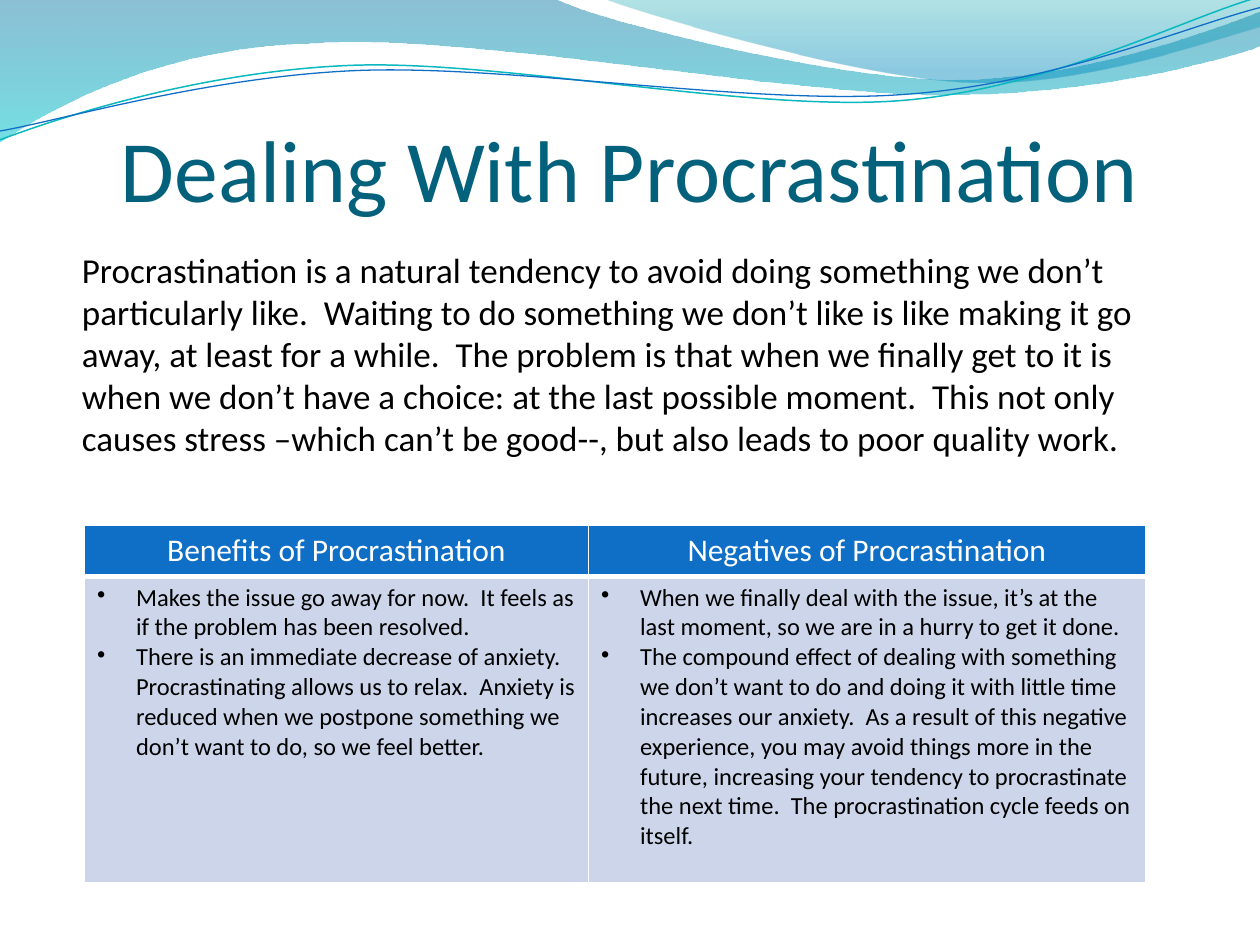
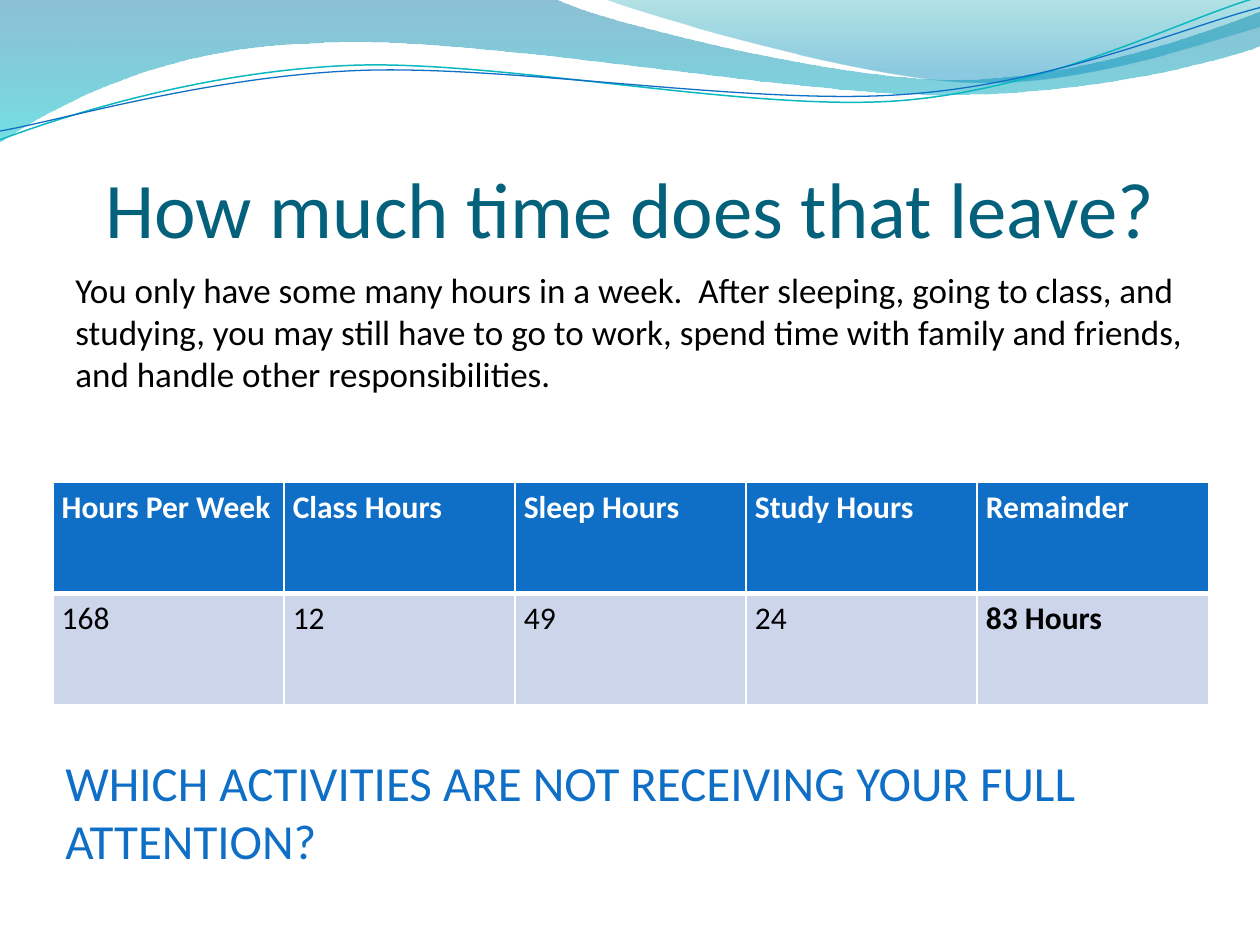
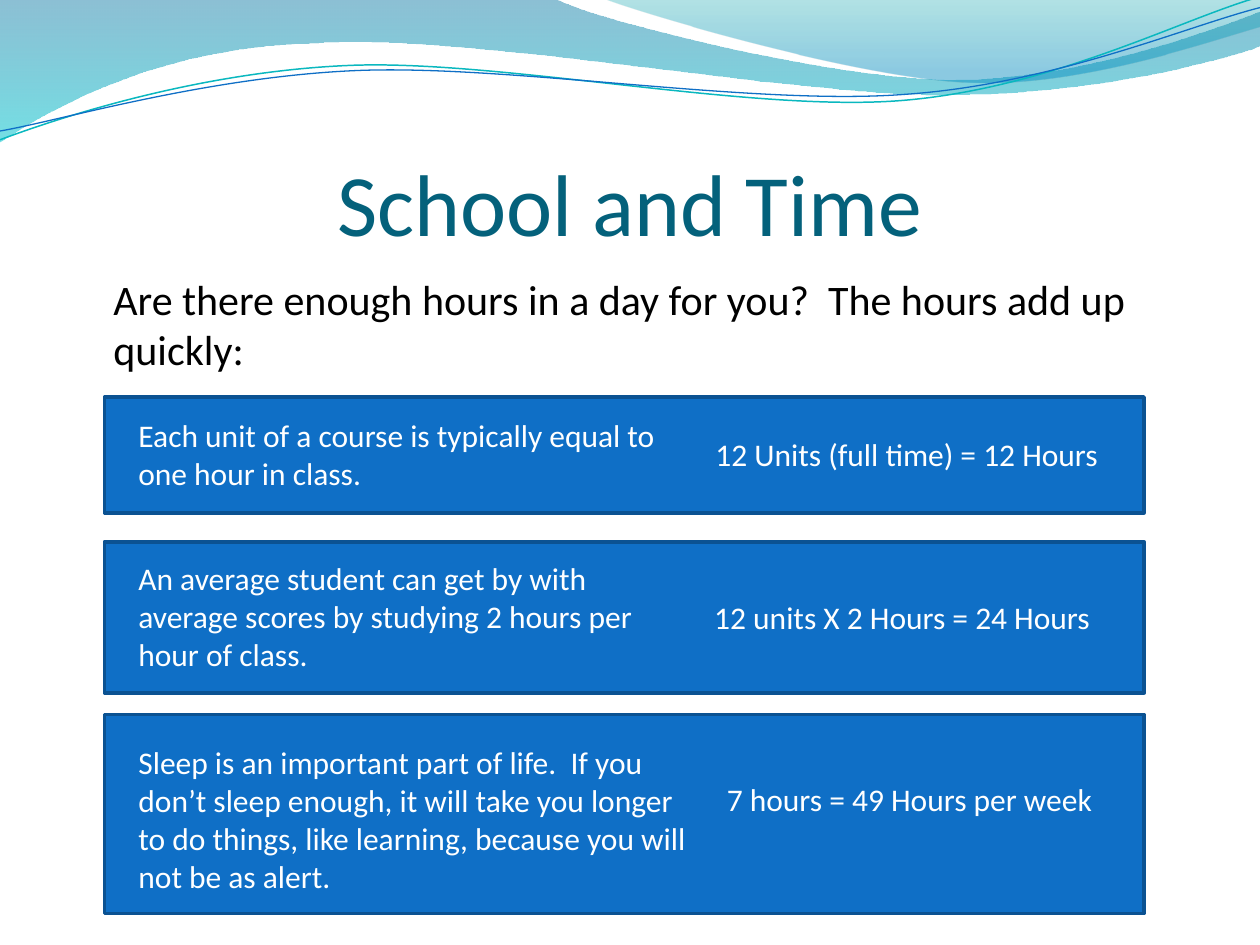
"""Build three study-skills slides with a shared wave band."""
import math
from dataclasses import dataclass
from typing import Any, Optional

import lxml.etree
import pptx
import pptx.dml.color
import pptx.enum.shapes
import pptx.enum.text
import pptx.oxml.ns
import pptx.presentation
import pptx.shapes.base
import pptx.slide
import pptx.table
import pptx.text.text
import pptx.util

Inches = pptx.util.Inches
Pt = pptx.util.Pt
qn = pptx.oxml.ns.qn

FONT = "Calibri"
BLUE, DARK_BLUE, TEAL = "0F6FC6", "0B5292", "0AB8BF"
TITLE, BLACK, WHITE, PALE = "04617B", "000000", "FFFFFF", "CCD5EA"
CENTER = pptx.enum.text.PP_ALIGN.CENTER
FIXED = pptx.enum.text.MSO_AUTO_SIZE.NONE
GROW = pptx.enum.text.MSO_AUTO_SIZE.SHAPE_TO_FIT_TEXT

Point = tuple[float, float]


@dataclass(frozen=True)
class Box:
    """Place and size in inches."""
    left: float
    top: float
    width: float
    height: float

    def emu(self) -> list[int]:
        """Return the four lengths for python-pptx calls."""
        return [Inches(v) for v in (self.left, self.top, self.width, self.height)]


@dataclass(frozen=True)
class Stop:
    """Gradient stop with its opacity in percent."""
    position: float
    color: str
    opacity: int


@dataclass(frozen=True)
class Wave:
    """Outline of straight (one point) and curved (three points) segments."""
    box: Box
    start: Point
    segments: tuple[tuple[Point, ...], ...]
    stops: tuple[Stop, ...] = ()
    color: str = ""
    weight: float = 0
    rotation: float = 0


@dataclass(frozen=True)
class TextStyle:
    """Look of the text in a box or cell."""
    size: float
    color: str = BLACK
    bold: bool = False
    align: Optional[Any] = None
    line_spacing: Optional[float] = None
    space_after: Optional[float] = None
    indent: Optional[Point] = None
    bullet: str = ""


@dataclass(frozen=True)
class TimeFact:
    """Blue bar with a statement and the hours it costs."""
    bar_top: float
    bar_height: float
    statement: str
    statement_box: Box
    hours: str
    hours_box: Box


WAVES = (
    Wave(Box(-0.01, -0.01, 10.02, 1.14), (0, 0), (
        ((4.4, -0.01),),
        ((4.76, 0.17), (6.64, 0.63), (7.58, 0.63)),
        ((8.53, 0.63), (9.58, 0.26), (10, 0.09)),
        ((10.01, 0.36),),
        ((9.83, 0.44), (8.7, 0.76), (7.46, 0.75)),
        ((6.22, 0.75), (3.82, 0.28), (2.57, 0.34)),
        ((1.29, 0.36), (0.46, 0.83), (-0.01, 1.13)),
        ((0, 0),),
    ), stops=(Stop(0, "0074A1", 45), Stop(1, "00C6CF", 55))),
    Wave(Box(4.79, -0.01, 5.21, 0.7), (4.79, -0.01), (
        ((5.09, 0.11), (6.82, 0.62), (7.69, 0.65)),
        ((8.56, 0.69), (9.61, 0.32), (10, 0.21)),
        ((10, 0),),
        ((4.79, -0.01),),
    ), stops=(Stop(0, "00A1A9", 30), Stop(0.8, "008BBF", 45))),
    Wave(Box(-0.02, 0.22, 10.02, 0.71), (0, 1.11), (
        ((0.48, 0.93), (1.58, 0.57), (2.77, 0.52)),
        ((3.95, 0.47), (5.93, 0.89), (7.13, 0.8)),
        ((8.33, 0.71), (9.38, 0.15), (9.98, -0.02)),
    ), color=TEAL, weight=0.85, rotation=-2.7),
    Wave(Box(-0.02, 0.3, 10.03, 0.58), (0, 1.04), (
        ((0.47, 0.96), (1.64, 0.61), (2.83, 0.56)),
        ((4.03, 0.51), (5.97, 0.84), (7.17, 0.75)),
        ((8.36, 0.67), (9.41, 0.21), (10, 0.06)),
    ), color=BLUE, weight=0.75, rotation=-2.7),
)

BENEFITS = (
    "Makes the issue go away for now.  It feels as if the problem has been resolved.",
    "There is an immediate decrease of anxiety.  Procrastinating allows us to relax.  "
    "Anxiety is reduced when we postpone something we don’t want to do, so we feel better.",
)
NEGATIVES = (
    "When we finally deal with the issue, it’s at the last moment, "
    "so we are in a hurry to get it done.",
    "The compound effect of dealing with something we don’t want to do and doing it with "
    "little time increases our anxiety.  As a result of this negative experience, you may "
    "avoid things more in the future, increasing your tendency to procrastinate the next "
    "time.  The procrastination cycle feeds on itself.",
)
WEEK = (("Hours Per Week", "168"), ("Class Hours", "12"), ("Sleep Hours", "49"),
        ("Study Hours", "24"), ("Remainder", "83 Hours"))
TIME_FACTS = (
    TimeFact(3.15, 0.92, "Each unit of a course is typically equal to one hour in class.",
             Box(1, 3.25, 4.57, 0.71), "12 Units (full time) = 12 Hours",
             Box(5.58, 3.4, 3.25, 0.4)),
    TimeFact(4.3, 1.2, "An average student can get by with average scores by studying "
             "2 hours per hour of class.", Box(1, 4.39, 4.57, 1.01),
             "12 units X 2 Hours = 24 Hours", Box(5.57, 4.7, 3.25, 0.4)),
    TimeFact(5.67, 1.58, "Sleep is an important part of life.  If you don’t sleep enough, it "
             "will take you longer to do things, like learning, because you will not be as "
             "alert.", Box(1, 5.85, 4.58, 1.31),
             "7 hours = 49 Hours per week", Box(5.67, 6.14, 3.17, 0.4)),
)


def rgb(color: str) -> pptx.dml.color.RGBColor:
    """Turn a hex string into a colour."""
    return pptx.dml.color.RGBColor.from_string(color)


def assign(target: Any, values: dict[str, Any]) -> None:
    """Set the attributes that have a value."""
    for name, value in values.items():
        if value is not None:
            setattr(target, name, value)


def write(frame: pptx.text.text.TextFrame, texts: tuple[str, ...], style: TextStyle) -> None:
    """Write one styled paragraph for each text."""
    for index, text in enumerate(texts):
        para = frame.add_paragraph() if index else frame.paragraphs[0]
        assign(para, {
            "alignment": style.align,
            "line_spacing": style.line_spacing,
            "space_before": Pt(0),
            "space_after": None if style.space_after is None else Pt(style.space_after),
        })
        if style.indent:
            props = para._p.get_or_add_pPr()
            left, first = style.indent
            props.set("marL", str(Inches(left)))
            props.set("indent", str(Inches(first)))
            if style.bullet:
                lxml.etree.SubElement(props, qn("a:buChar")).set("char", style.bullet)
            else:
                lxml.etree.SubElement(props, qn("a:buNone"))
        span = para.add_run()
        span.text = text
        assign(span.font, {"name": FONT, "size": Pt(style.size), "bold": style.bold})
        span.font.color.rgb = rgb(style.color)


def place(shape: pptx.shapes.base.BaseShape, box: Box) -> None:
    """Move a shape to a box."""
    assign(shape, dict(zip(("left", "top", "width", "height"), box.emu())))


def local_point(wave: Wave, point: Point) -> tuple[int, int]:
    """Turn a slide point into a point within the unrotated wave box."""
    box = wave.box
    angle = math.radians(-wave.rotation)
    across = point[0] - box.left - box.width / 2
    down = point[1] - box.top - box.height / 2
    x = across * math.cos(angle) - down * math.sin(angle) + box.width / 2
    y = across * math.sin(angle) + down * math.cos(angle) + box.height / 2
    return Inches(x), Inches(y)


def curve_outline(shape: pptx.shapes.base.BaseShape, wave: Wave) -> None:
    """Write the wave's segments, curves included, as the outline of its box."""
    place(shape, wave.box)
    shape.rotation = wave.rotation
    outline = next(shape.element.iter(qn("a:path")))
    for child in list(outline):
        outline.remove(child)
    outline.set("w", str(Inches(wave.box.width)))
    outline.set("h", str(Inches(wave.box.height)))
    tags = {1: "a:lnTo", 3: "a:cubicBezTo"}
    steps = [("a:moveTo", (wave.start,))]
    steps += [(tags[len(segment)], segment) for segment in wave.segments]
    for tag, points in steps:
        step = lxml.etree.SubElement(outline, qn(tag))
        for point in points:
            x, y = local_point(wave, point)
            lxml.etree.SubElement(step, qn("a:pt"), x=str(x), y=str(y))
    if wave.stops:
        lxml.etree.SubElement(outline, qn("a:close"))


def draw_wave(page: pptx.slide.Slide, wave: Wave) -> pptx.shapes.base.BaseShape:
    """Draw a filled band or an open line."""
    builder = page.shapes.build_freeform(*(Inches(v) for v in wave.start))
    ends = [segment[-1] for segment in wave.segments]
    builder.add_line_segments([(Inches(x), Inches(y)) for x, y in ends], close=False)
    shape = builder.convert_to_shape()
    curve_outline(shape, wave)
    shape.shadow.inherit = False
    if not wave.stops:
        shape.fill.background()
        shape.line.color.rgb = rgb(wave.color)
        shape.line.width = Pt(wave.weight)
        return shape
    shape.line.fill.background()
    shape.fill.gradient()
    shape.fill.gradient_angle = 270
    for target, stop in zip(shape.fill.gradient_stops, wave.stops):
        target.color.rgb = rgb(stop.color)
        target.position = stop.position
    for node, stop in zip(shape.element.iter(qn("a:srgbClr")), wave.stops):
        lxml.etree.SubElement(node, qn("a:alpha")).set("val", str(stop.opacity * 1000))
    return shape


def add_master_waves(deck: pptx.presentation.Presentation, page: pptx.slide.Slide) -> None:
    """Draw the waves and move them behind the master's placeholders."""
    tree = deck.slide_master.element.cSld.spTree
    for index, wave in enumerate(WAVES):
        element = draw_wave(page, wave).element
        element.nvSpPr.cNvPr.id = 100 + index
        tree.insert(2 + index, element)


def add_page(deck: pptx.presentation.Presentation, layout: int, title: str, size: float,
             height: float = 1.25) -> pptx.slide.Slide:
    """Add a slide with its title."""
    page = deck.slides.add_slide(deck.slide_layouts[layout])
    shape = page.shapes.title
    place(shape, Box(0.5, 0.77, 9, height))
    assign(shape.text_frame, {
        "vertical_anchor": pptx.enum.text.MSO_ANCHOR.BOTTOM, "auto_size": FIXED,
        "margin_left": 0, "margin_right": 0, "margin_top": Inches(0.05), "margin_bottom": 0,
    })
    write(shape.text_frame, (title,), TextStyle(size, TITLE, align=CENTER))
    return page


def fill_body(page: pptx.slide.Slide, box: Box, text: str, size: float) -> None:
    """Fill the body placeholder with an unbulleted paragraph."""
    body = page.placeholders[1]
    place(body, box)
    body.text_frame.auto_size = FIXED
    write(body.text_frame, (text,), TextStyle(size, indent=(0.3, 0)))


def add_text(page: pptx.slide.Slide, box: Box, text: str, style: TextStyle,
             auto_size: Any = GROW) -> None:
    """Add a wrapping text box."""
    frame = page.shapes.add_textbox(*box.emu()).text_frame
    assign(frame, {"word_wrap": True, "auto_size": auto_size})
    write(frame, (text,), style)


def add_grid(page: pptx.slide.Slide, box: Box, widths: list[float],
             heights: list[float]) -> pptx.table.Table:
    """Add a table with a blue header, pale rows and white borders."""
    table = page.shapes.add_table(len(heights), len(widths), *box.emu()).table
    for column, width in zip(table.columns, widths):
        column.width = Inches(width)
    for index, (row, height) in enumerate(zip(table.rows, heights)):
        row.height = Inches(height)
        for cell in row.cells:
            borders = {"a:lnL": 1, "a:lnR": 1,
                       "a:lnT": 3 if index == 1 else 1, "a:lnB": 1 if index else 3}
            props = cell._tc.get_or_add_tcPr()
            for tag, weight in borders.items():
                line = lxml.etree.SubElement(props, qn(tag), w=str(Pt(weight)))
                fill = lxml.etree.SubElement(line, qn("a:solidFill"))
                lxml.etree.SubElement(fill, qn("a:srgbClr"), val=WHITE)
            cell.fill.solid()
            cell.fill.fore_color.rgb = rgb(PALE if index else BLUE)
    return table


def build_procrastination(deck: pptx.presentation.Presentation) -> None:
    """Build the slide on benefits and negatives of procrastination."""
    page = add_page(deck, 1, "Dealing With Procrastination", 50, height=0.98)
    add_master_waves(deck, page)
    fill_body(page, Box(0.25, 1.92, 9.25, 2),
              "Procrastination is a natural tendency to avoid doing something we don’t "
              "particularly like.  Waiting to do something we don’t like is like making it go "
              "away, at least for a while.  The problem is that when we finally get to it is "
              "when we don’t have a choice: at the last possible moment.  This not only causes "
              "stress –which can’t be good--, but also leads to poor quality work.", 20)
    table = add_grid(page, Box(0.67, 4.17, 8.42, 2.83), [4, 4.42], [0.4, 2.43])
    sides = (("Benefits of Procrastination", BENEFITS),
             ("Negatives of Procrastination", NEGATIVES))
    for column, (heading, points) in enumerate(sides):
        write(table.cell(0, column).text_frame, (heading,),
              TextStyle(18, WHITE, align=CENTER))
        write(table.cell(1, column).text_frame, points,
              TextStyle(14, indent=(0.31, -0.31), bullet="•"))


def build_remaining_time(deck: pptx.presentation.Presentation) -> None:
    """Build the slide on the hours left in a week."""
    page = add_page(deck, 5, "How much time does that leave?", 45)
    table = add_grid(page, Box(0.42, 3.83, 9.17, 1.76), [9.17 / len(WEEK)] * len(WEEK),
                     [0.88] * 2)
    for column, texts in enumerate(WEEK):
        for row, text in enumerate(texts):
            cell = table.cell(row, column)
            assign(cell, {"margin_left": Inches(0.07), "margin_right": Inches(0.07),
                          "margin_top": 0, "margin_bottom": 0})
            bold = row == 0 or column == len(WEEK) - 1
            write(cell.text_frame, (text,),
                  TextStyle(18, BLACK if row else WHITE, bold, line_spacing=1.15,
                            space_after=10))
    add_text(page, Box(0.42, 5.92, 9.17, 1.04),
             "WHICH ACTIVITIES ARE NOT RECEIVING YOUR FULL ATTENTION?", TextStyle(28, BLUE))
    add_text(page, Box(0.5, 2.08, 9.17, 1.5),
             "You only have some many hours in a week.  After sleeping, going to class, and "
             "studying, you may still have to go to work, spend time with family and friends, "
             "and handle other responsibilities.", TextStyle(20), FIXED)


def build_school_time(deck: pptx.presentation.Presentation) -> None:
    """Build the slide on how school hours add up."""
    page = add_page(deck, 1, "School and Time", 50)
    fill_body(page, Box(0.5, 2.12, 9, 0.88),
              "Are there enough hours in a day for you?  The hours add up quickly:", 24)
    for fact in TIME_FACTS:
        bar = page.shapes.add_shape(pptx.enum.shapes.MSO_SHAPE.RECTANGLE,
                                    *Box(0.83, fact.bar_top, 8.25, fact.bar_height).emu())
        bar.shadow.inherit = False
        bar.fill.solid()
        bar.fill.fore_color.rgb = rgb(BLUE)
        bar.line.color.rgb = rgb(DARK_BLUE)
        bar.line.width = Pt(2)
        add_text(page, fact.statement_box, fact.statement, TextStyle(18, WHITE))
        add_text(page, fact.hours_box, fact.hours, TextStyle(18, WHITE))


def main() -> None:
    """Build and save the deck."""
    deck = pptx.Presentation()
    deck.slide_width, deck.slide_height = Inches(10), Inches(7.5)
    build_procrastination(deck)
    build_remaining_time(deck)
    build_school_time(deck)
    deck.save("out.pptx")


if __name__ == "__main__":
    main()
